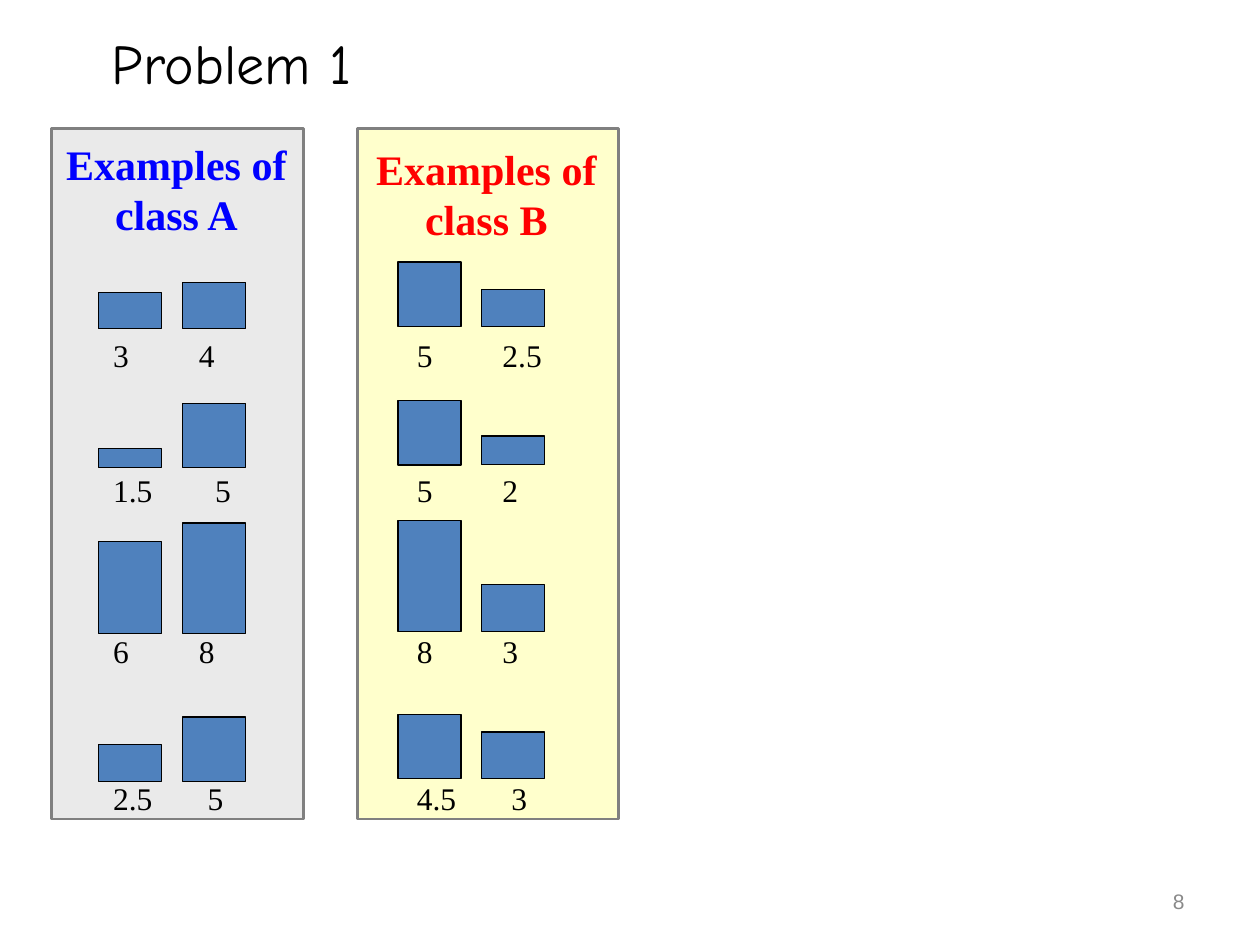
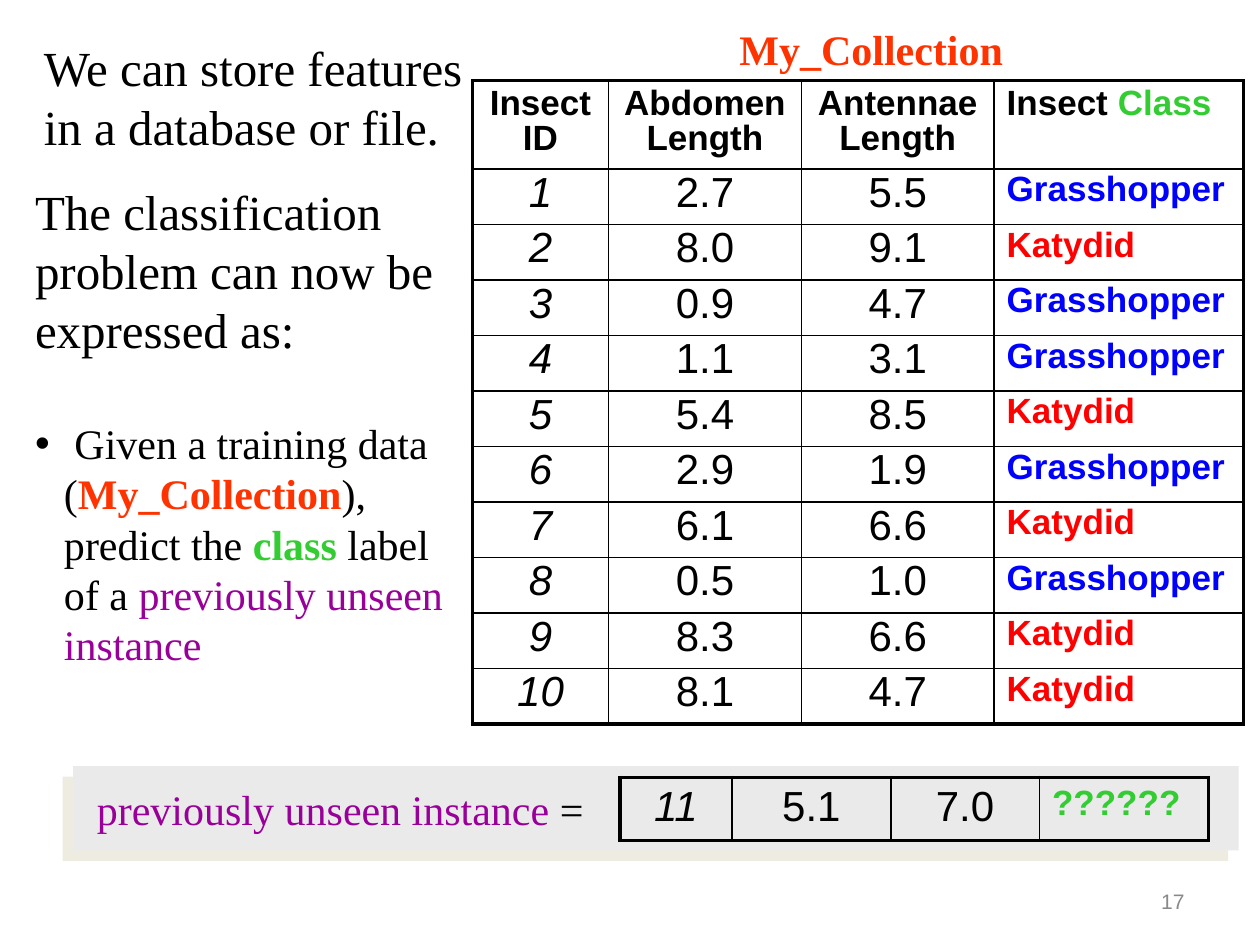
"""Build two slides on classification: a bar-pair problem and an insect feature table."""
from lxml import etree
from pptx import Presentation
from pptx.dml.color import RGBColor
from pptx.enum import shapes as s, text as t
from pptx.oxml import ns
from pptx.util import Inches, Pt

BLACK = RGBColor(0, 0, 0)
BLUE = RGBColor(0, 0, 0xFF)
RED = RGBColor(0xFF, 0, 0)
GREEN = RGBColor(0x33, 0xCC, 0x33)
ORANGE = RGBColor(0xFF, 0x33, 0)
PURPLE = RGBColor(0x99, 0, 0x99)
STEEL = RGBColor(0x4F, 0x81, 0xBD)
GREY = RGBColor(0x80, 0x80, 0x80)
FOOTER_GREY = RGBColor(0x89, 0x89, 0x89)
PALE_GREY = RGBColor(0xEA, 0xEA, 0xEA)
PALE_YELLOW = RGBColor(0xFF, 0xFF, 0xCC)
SERIF, SANS, HAND = "Times New Roman", "Arial", "Comic Neue"
LEFT, CENTER, RIGHT = t.PP_ALIGN.LEFT, t.PP_ALIGN.CENTER, t.PP_ALIGN.RIGHT


def add_runs(paragraph, runs, size, font=SERIF, align=LEFT):
    """Add (text, colour, style) runs, where style holds b for bold and i for italic."""
    paragraph.alignment = align
    for words, colour, style in runs:
        run = paragraph.add_run()
        run.text = words
        run.font.size, run.font.name = Pt(size), font
        run.font.bold, run.font.italic = "b" in style, "i" in style
        run.font.color.rgb = colour


def add_text(parent, box, runs, size, font=SERIF, align=LEFT, wrap=True):
    """Add a text box with one paragraph and return its text frame."""
    frame = parent.add_textbox(*map(Inches, box)).text_frame
    frame.word_wrap = wrap
    frame.auto_size = t.MSO_AUTO_SIZE.SHAPE_TO_FIT_TEXT
    add_runs(frame.paragraphs[0], runs, size, font, align)
    return frame


prs = Presentation()
prs.slide_width, prs.slide_height = Inches(10), Inches(7.5)
problem, collection = [prs.slides.add_slide(prs.slide_layouts[6]) for _ in range(2)]

for slide, number in ((problem, "8"), (collection, "17")):
    footer = add_text(slide.shapes, (7.17, 6.95, 2.33, 0.4), [(number, FOOTER_GREY, "")], 12, SANS, RIGHT)
    footer.auto_size = t.MSO_AUTO_SIZE.NONE
    footer.vertical_anchor = t.MSO_ANCHOR.MIDDLE

add_text(problem.shapes, (0.79, 0.18, 2.21, 0.64), [("Problem 1", BLACK, "")], 32, HAND, wrap=False)

classes = [
    ("A", BLUE, PALE_GREY, (0.41, 2), (0.27, 1.05, 2.26, 0.91), (0.78, 1.45), 0.8, 2.61,
     [("3", "4", 0.29, 0.37, 0.68), ("1.5", "5", 0.15, 0.51, 0.81),
      ("6", "8", 0.73, 0.88, 0.68), ("2.5", "5", 0.29, 0.51, 0.75)]),
    ("B", RED, PALE_YELLOW, (2.84, 2.07), (2.85, 1.09, 2.02, 0.9), (3.16, 3.82), 3.21, 2.59,
     [("5", "2.5", 0.51, 0.29, 0.68), ("5", "2", 0.51, 0.23, 0.68),
      ("8", "3", 0.88, 0.37, 0.68), ("4.5", "3", 0.51, 0.37, 0.75)]),
]
base_drops = (0, 1.1, 2.42, 3.59)
label_tops = (2.62, 3.69, 4.97, 6.13)

for name, colour, backdrop, (left, width), heading, bar_lefts, label_left, first_base, pairs in classes:
    group = problem.shapes.add_group_shape().shapes
    rectangles = [((left, 1.02, width, 5.48), backdrop, GREY, 1.5)]
    for drop, pair in zip(base_drops, pairs):
        for bar_left, height in zip(bar_lefts, pair[2:4]):
            bar = (bar_left, first_base + drop - height, 0.5, height)
            rectangles.append((bar, STEEL, BLACK, 0.75))
    for box, fill, outline, weight in rectangles:
        rectangle = group.add_shape(s.MSO_SHAPE.RECTANGLE, *map(Inches, box))
        rectangle.shadow.inherit = False
        rectangle.fill.solid()
        rectangle.fill.fore_color.rgb = fill
        rectangle.line.color.rgb = outline
        rectangle.line.width = Pt(weight)
    add_text(group, heading, [(f"Examples of class {name}", colour, "b")], 24, align=CENTER)
    for top, (first, second, _, _, gap) in zip(label_tops, pairs):
        label = add_text(group, (label_left, top, 1.3, 0.4), [(f"{first}\t{second}", BLACK, "")], 18)
        tabs = etree.SubElement(label.paragraphs[0]._p.get_or_add_pPr(), ns.qn("a:tabLst"))
        etree.SubElement(tabs, ns.qn("a:tab"), pos=str(Inches(gap)), algn="l")

band = collection.shapes.add_shape(
    s.MSO_SHAPE.RECTANGLE, Inches(0.58), Inches(6.08), Inches(9.25), Inches(0.67))
band.fill.solid()
band.fill.fore_color.rgb = PALE_GREY
band.line.fill.background()
band.shadow.inherit = False
effects = band._element.spPr.find(ns.qn("a:effectLst"))
shadow = etree.SubElement(effects, ns.qn("a:outerShdw"), dist=str(Pt(8.5)), dir="8100000",
                          algn="ctr", rotWithShape="0")
etree.SubElement(shadow, ns.qn("a:srgbClr"), val="EEECE1")

insects = [
    ("2.7", "5.5", "Grasshopper"), ("8.0", "9.1", "Katydid"), ("0.9", "4.7", "Grasshopper"),
    ("1.1", "3.1", "Grasshopper"), ("5.4", "8.5", "Katydid"), ("2.9", "1.9", "Grasshopper"),
    ("6.1", "6.6", "Katydid"), ("0.5", "1.0", "Grasshopper"), ("8.3", "6.6", "Katydid"),
    ("8.1", "4.7", "Katydid"),
]
class_colours = {"Grasshopper": BLUE, "Katydid": RED, "??????": GREEN}
header = [
    [[("Insect ID", BLACK, "b")]],
    [[("Abdomen ", BLACK, "b")], [("Length", BLACK, "b")]],
    [[("Antennae ", BLACK, "b")], [("Length", BLACK, "b")]],
    [[("Insect ", BLACK, "b"), ("Class", GREEN, "b")]],
]
records = [
    [[[(str(insect_id), BLACK, "i")]], [[(abdomen, BLACK, "")]], [[(antennae, BLACK, "")]],
     [[(label, class_colours[label], "b")]]]
    for insect_id, (abdomen, antennae, label) in enumerate(insects + [("5.1", "7.0", "??????")], 1)
]
tables = [
    (3.75, 0.64, (1.08, 1.53, 1.53, 1.98), [0.7] + [0.44] * 10, 0.85, [header] + records[:-1]),
    (4.92, 6.17, (0.89, 1.26, 1.18, 1.34), [0.5], 1, records[-1:]),
]

for left, top, widths, heights, spacing, rows in tables:
    grid = collection.shapes.add_table(
        len(rows), 4, Inches(left), Inches(top), Inches(sum(widths)), Inches(sum(heights))).table
    grid.first_row = grid.horz_banding = False
    for column, width in zip(grid.columns, widths):
        column.width = Inches(width)
    for r, (cells, height) in enumerate(zip(rows, heights)):
        grid.rows[r].height = Inches(height)
        for c, paragraphs in enumerate(cells):
            cell = grid.cell(r, c)
            outer_edges = {"L": c == 0, "R": c == 3, "T": r == 0, "B": r == len(rows) - 1}
            for side, outer in outer_edges.items():
                border = etree.SubElement(cell._tc.get_or_add_tcPr(), ns.qn(f"a:ln{side}"),
                                          w=str(Pt(2.25 if outer else 1)))
                ink = etree.SubElement(border, ns.qn("a:solidFill"))
                etree.SubElement(ink, ns.qn("a:srgbClr"), val=str(BLACK))
            cell.fill.background()
            size = 20 if cells is header or c == 3 else 24
            for i, runs in enumerate(paragraphs):
                line = cell.text_frame.add_paragraph() if i else cell.text_frame.paragraphs[0]
                add_runs(line, runs, size, SANS, LEFT if c == 3 else CENTER)
                line.line_spacing = 0.9 if cells is header else spacing

add_text(collection.shapes, (0.25, 0.25, 3.83, 1.03),
         [("We can store features in a database or file.", BLACK, "")], 28)
add_text(collection.shapes, (5.77, 0.14, 2.31, 0.51), [("My_Collection", ORANGE, "b")], 24, wrap=False)
add_text(collection.shapes, (0.67, 6.17, 4.18, 0.51),
         [("previously unseen instance", PURPLE, ""), (" =", BLACK, "")], 24, wrap=False)

statement = add_text(collection.shapes, (0.18, 1.39, 3.66, 4.01),
                     [("The classification problem can now be expressed as:", BLACK, "")], 28)
task = statement.add_paragraph()
add_runs(task, [
    (" Given a training data (", BLACK, ""), ("My_Collection", ORANGE, "b"),
    ("), predict the ", BLACK, ""), ("class ", GREEN, "b"), ("label of a ", BLACK, ""),
    ("previously unseen instance", PURPLE, ""),
], 24)
task.space_before = Pt(34)
bullet = task._p.get_or_add_pPr()
bullet.set("marL", str(Inches(0.23)))
bullet.set("indent", str(-Inches(0.23)))
etree.SubElement(bullet, ns.qn("a:buFont"), typeface=SANS)
etree.SubElement(bullet, ns.qn("a:buChar"), char="•")

prs.save("out.pptx")
